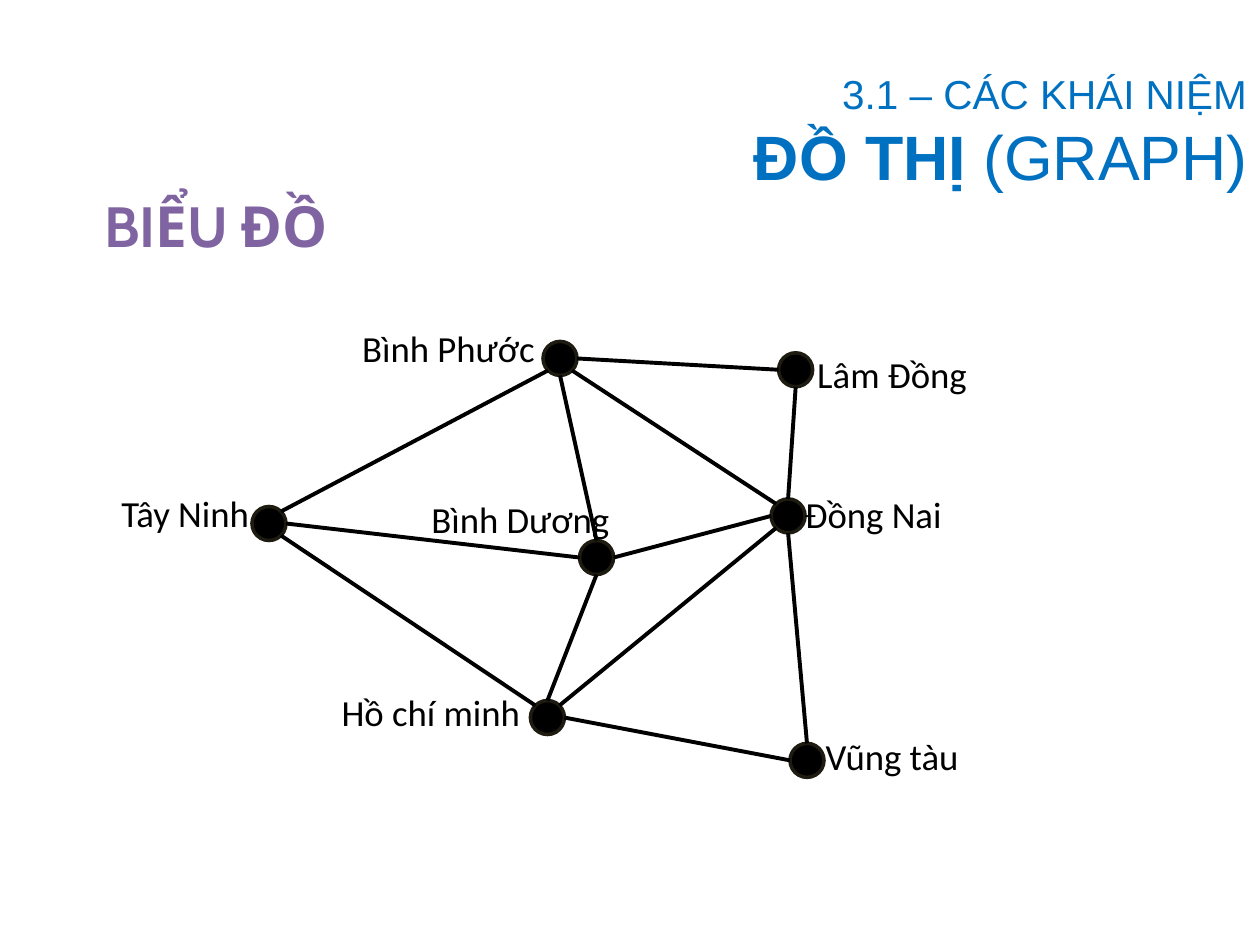
"""Build a slide showing a graph of southern Vietnamese provinces."""
from math import cos, radians, sin

from lxml import etree
from pptx import Presentation
from pptx.dml.color import RGBColor
from pptx.enum import shapes, text
from pptx.oxml import ns
from pptx.util import Inches, Pt

DOT = 0.27
ANGLES = {"right": 0, "bottom right": 45, "bottom": 90, "bottom left": 135,
          "left": 180, "top left": 225, "top": 270, "top right": 315}
# name: dot left and top, label left and top
CITIES = {
    "Lâm Đồng": (6.18, 2.8, 6.2, 2.72),
    "Vũng tàu": (6.27, 5.9, 6.2, 5.75),
    "Đồng Nai": (6.12, 3.96, 6.05, 3.83),
    "Bình Phước": (4.31, 2.71, 2.68, 2.51),
    "Tây Ninh": (2, 4.02, 0.59, 3.82),
    "Hồ chí minh": (4.21, 5.56, 2.54, 5.4),
    "Bình Dương": (4.6, 4.29, 3.25, 3.87),
}
ROADS = [
    ("Hồ chí minh", "right", "Vũng tàu", "left"),
    ("Vũng tàu", "top", "Đồng Nai", "bottom"),
    ("Bình Phước", "bottom right", "Đồng Nai", "top left"),
    ("Tây Ninh", "top right", "Bình Phước", "bottom left"),
    ("Hồ chí minh", "top left", "Tây Ninh", "bottom right"),
    ("Bình Dương", "right", "Đồng Nai", "left"),
    ("Bình Dương", "bottom", "Hồ chí minh", "top"),
    ("Bình Dương", "left", "Tây Ninh", "right"),
    ("Bình Phước", "bottom", "Bình Dương", "top"),
    ("Hồ chí minh", "top right", "Đồng Nai", "bottom left"),
    ("Lâm Đồng", "left", "Bình Phước", "right"),
    ("Lâm Đồng", "bottom", "Đồng Nai", "top"),
]


def color(value):
    """Return the colour for a hex string."""
    return RGBColor.from_string(value)


def place(sp, left, top, width, height):
    """Set the position and size of a shape in inches."""
    sp.left, sp.top = Inches(left), Inches(top)
    sp.width, sp.height = Inches(width), Inches(height)


def write(sp, lines, font, hex_color, align):
    """Fill a shape with lines, each a list of (text, size, bold) runs."""
    tf = sp.text_frame
    tf.word_wrap = True
    tf.auto_size = text.MSO_AUTO_SIZE.NONE
    tf.vertical_anchor = text.MSO_ANCHOR.MIDDLE
    for i, runs in enumerate(lines):
        p = tf.add_paragraph() if i else tf.paragraphs[0]
        p.alignment = align
        for words, size, bold in runs:
            r = p.add_run()
            r.text = words
            r.font.name, r.font.size, r.font.bold = font, Pt(size), bold
            r.font.color.rgb = color(hex_color)


def add_text(s, box, lines, font, hex_color, align):
    """Add a text box."""
    sp = s.shapes.add_textbox(*map(Inches, box))
    write(sp, lines, font, hex_color, align)


def add_dot(s, left, top):
    """Add the round node of a city."""
    sp = s.shapes.add_shape(shapes.MSO_SHAPE.OVAL, *map(Inches, (left, top, DOT, DOT)))
    sp.shadow.inherit = False
    sp.fill.solid()
    sp.fill.fore_color.rgb = color("000000")
    sp.line.color.rgb = color("1E1C11")
    sp.line.width = Pt(2)


def rim_point(city, side):
    """Return the point on the rim of a city's dot at the named side."""
    left, top = CITIES[city][:2]
    angle = radians(ANGLES[side])
    return (Inches(left + DOT / 2 * (1 + cos(angle))),
            Inches(top + DOT / 2 * (1 + sin(angle))))


def add_road(s, start, start_side, end, end_side):
    """Add a straight line between the rims of two cities."""
    line = s.shapes.add_connector(shapes.MSO_CONNECTOR.STRAIGHT,
                                  *rim_point(start, start_side), *rim_point(end, end_side))
    line.line.color.rgb = color("000000")
    line.line.width = Pt(2.25)
    etree.SubElement(line._element.spPr, ns.qn("a:effectLst"))


def main():
    """Build and save the slide."""
    prs = Presentation()
    prs.slide_width, prs.slide_height = Inches(10), Inches(7.5)
    s = prs.slides.add_slide(prs.slide_layouts[5])
    center, right = text.PP_ALIGN.CENTER, text.PP_ALIGN.RIGHT

    place(s.shapes.title, 0.53, 1.24, 2.37, 1.09)
    write(s.shapes.title, [[("BIỂU ĐỒ", 32.4, True)]], "Cabin", "8064A2", center)
    for left, top, _, _ in CITIES.values():
        add_dot(s, left, top)
    for road in ROADS:
        add_road(s, *road)
    for name, (_, _, left, top) in CITIES.items():
        add_text(s, (left, top, 1.76, 0.5), [[(name, 21, False)]], "Calibri", "000000", center)
    heading = [[("3.1 – CÁC KHÁI NIỆM", 23.1, False)],
               [("ĐỒ THỊ ", 35.8, True), ("(GRAPH)", 35.8, False)]]
    add_text(s, (2.17, 0.5, 7.83, 1.08), heading, "Arial", "0070C0", right)
    prs.save("out.pptx")


if __name__ == "__main__":
    main()
